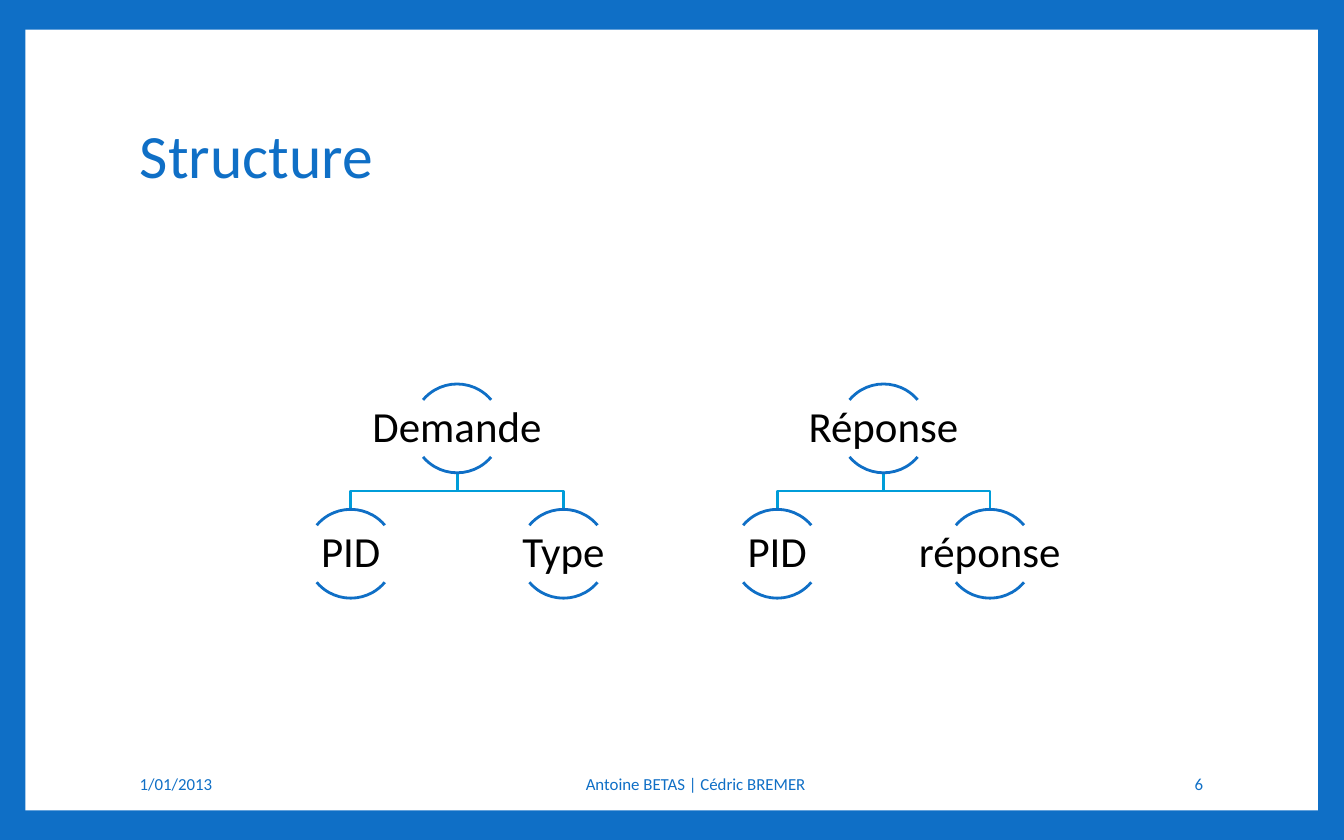
from dataclasses import dataclass

from pptx import Presentation
from pptx.dml.color import RGBColor
from pptx.enum.shapes import MSO_SHAPE as Kind
from pptx.enum.text import MSO_ANCHOR as Anchor, MSO_AUTO_SIZE as Fit, PP_ALIGN as Align
from pptx.util import Cm, Pt

BLUE, CYAN, WHITE, BLACK = "0F6FC6", "009DD9", "FFFFFF", "000000"
ARC = 1.68
GAP = 2.01
TOP, LOW = 7.26, 9.63


@dataclass
class Tree:
    mid: float
    root: str
    kids: tuple[str, str]


@dataclass
class Note:
    left: float
    width: float
    text: str
    align: Align


def paint(item, code: str) -> None:
    item.solid()
    item.fore_color.rgb = RGBColor.from_string(code)


def trace(shape, code: str) -> None:
    shape.fill.background()
    shape.shadow.inherit = False
    shape.line.width = Pt(1.5)
    paint(shape.line.fill, code)


def write(shape, text: str, *, size: float, color: str, align=Align.LEFT,
          inset: float | None = None, space: float = 1.0) -> None:
    frame = shape.text_frame
    frame.word_wrap = True
    frame.auto_size = Fit.NONE
    frame.vertical_anchor = Anchor.MIDDLE
    if inset is not None:
        frame.margin_left = frame.margin_right = Cm(inset)
        frame.margin_top = frame.margin_bottom = Cm(inset)
    para = frame.paragraphs[0]
    para.alignment = align
    para.line_spacing = space
    run = para.add_run()
    run.text = text
    run.font.name = "Calibri"
    run.font.size = Pt(size)
    paint(run.font.fill, color)


def add_node(shapes, mid: float, top: float, text: str) -> None:
    for start, end in ((132, 192), (24, 84)):
        arc = shapes.add_shape(Kind.ARC, Cm(mid - ARC / 2), Cm(top), Cm(ARC), Cm(ARC))
        arc.adjustments[0] = start
        arc.adjustments[1] = end
        trace(arc, BLUE)
    wide, high = 3.34, 1.07
    box = shapes.add_textbox(Cm(mid - wide / 2), Cm(top + (ARC - high) / 2), Cm(wide), Cm(high))
    write(box, text, size=23, color=BLACK, align=Align.CENTER, inset=0.05, space=0.9)


def add_link(shapes, start: float, end: float) -> None:
    top = TOP + ARC
    bend = (top + LOW) / 2
    pen = shapes.build_freeform(Cm(start), Cm(top))
    pen.add_line_segments(
        [(Cm(start), Cm(bend)), (Cm(end), Cm(bend)), (Cm(end), Cm(LOW))], close=False)
    trace(pen.convert_to_shape(), CYAN)


def add_tree(shapes, tree: Tree) -> None:
    spots = (tree.mid - GAP, tree.mid + GAP)
    for spot in spots:
        add_link(shapes, tree.mid, spot)
    add_node(shapes, tree.mid, TOP, tree.root)
    for spot, kid in zip(spots, tree.kids):
        add_node(shapes, spot, LOW, kid)


def add_note(shapes, note: Note) -> None:
    box = shapes.add_textbox(Cm(note.left), Cm(14.4), Cm(note.width), Cm(0.84))
    write(box, note.text, size=9, color=BLUE, align=note.align)


TREES = (
    Tree(8.64, "Demande", ("PID", "Type")),
    Tree(16.7, "Réponse", ("PID", "réponse")),
)
NOTES = (
    Note(2.39, 4.85, "1/01/2013", Align.LEFT),
    Note(8.23, 9.83, "Antoine BETAS | Cédric BREMER", Align.CENTER),
    Note(19.43, 3.56, "6", Align.RIGHT),
)

deck = Presentation()
deck.slide_width, deck.slide_height = Cm(25.4), Cm(15.88)
slide = deck.slides.add_slide(deck.slide_layouts[5])
paint(slide.background.fill, BLUE)
shapes = slide.shapes
title = shapes.title

panel = shapes.add_shape(Kind.RECTANGLE, Cm(0.48), Cm(0.56), Cm(24.43), Cm(14.76))
panel.shadow.inherit = False
panel.line.fill.background()
paint(panel.fill, WHITE)
title.element.addprevious(panel.element)

title.left, title.top, title.width, title.height = Cm(2.39), Cm(1.42), Cm(20.57), Cm(3.15)
write(title, "Structure", size=33, color=BLUE, space=0.9)
for tree in TREES:
    add_tree(shapes, tree)
for note in NOTES:
    add_note(shapes, note)

deck.save("out.pptx")
